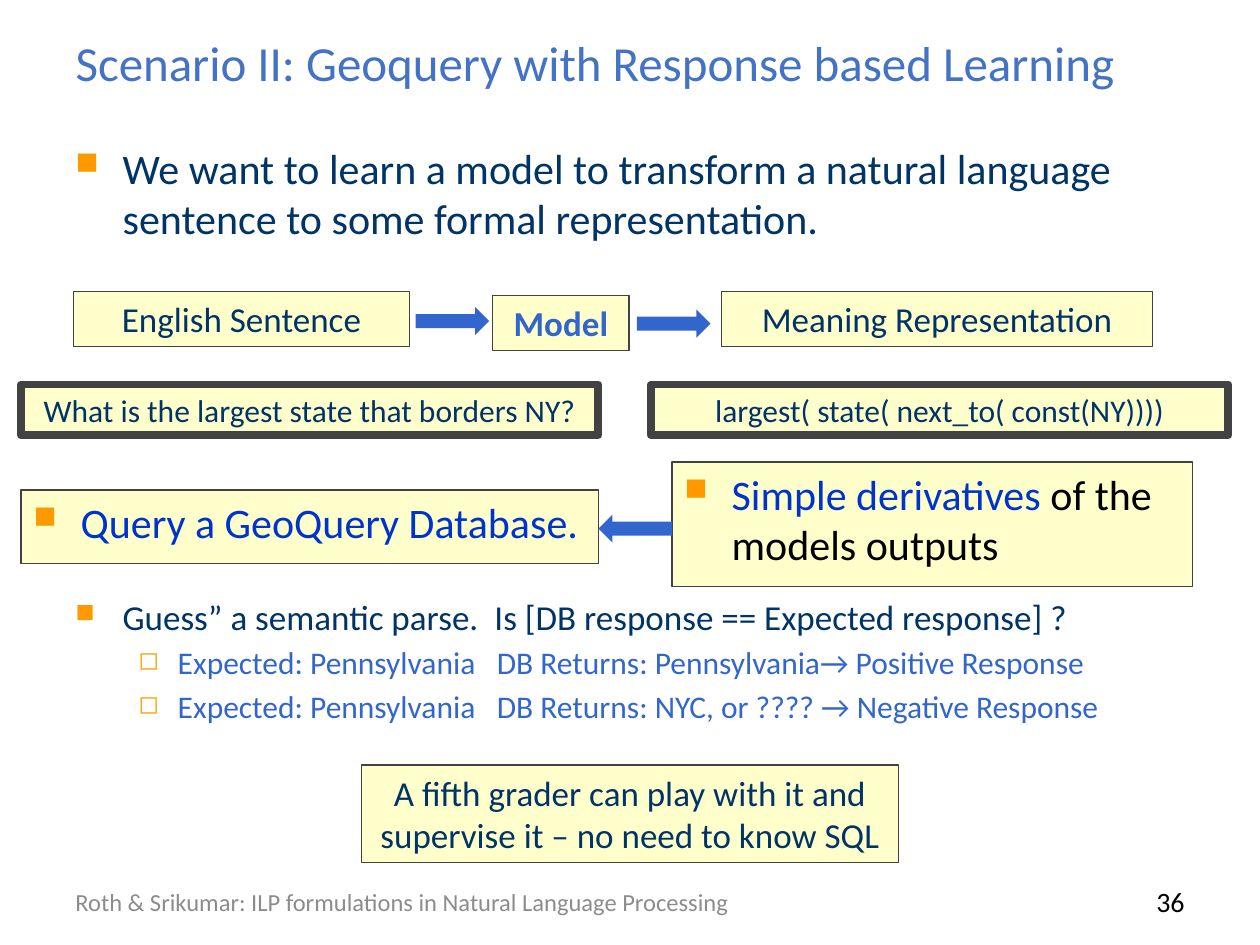
"""Build the slide on Geoquery with response based learning."""
from typing import NamedTuple, Optional

from lxml import etree
from pptx import Presentation
from pptx.dml.color import RGBColor
from pptx.enum.shapes import MSO_SHAPE
from pptx.enum.text import MSO_ANCHOR, MSO_AUTO_SIZE, PP_ALIGN
from pptx.oxml.ns import qn
from pptx.util import Pt

RECT, ARROW = MSO_SHAPE.RECTANGLE, MSO_SHAPE.RIGHT_ARROW
TOP, MIDDLE = MSO_ANCHOR.TOP, MSO_ANCHOR.MIDDLE
LEFT, CENTER, RIGHT = PP_ALIGN.LEFT, PP_ALIGN.CENTER, PP_ALIGN.RIGHT
FIXED = MSO_AUTO_SIZE.NONE
FONT = "Calibri"
HEX = {
    "title": "4472C4", "navy": "003366", "blue": "3366CC", "royal": "0033CC",
    "cream": "FFFFCC", "edge": "424242", "mark": "FF9900", "sub": "FBA313",
    "gray": "8C8C8C", "black": "000000",
}


class Run(NamedTuple):
    """Text in one style; track widens its letters, in points."""
    text: str
    size: float
    color: str = "navy"
    bold: bool = False
    track: float = 0


class Mark(NamedTuple):
    """Bullet sign with its colour, size and indents."""
    sign: str
    color: str
    scale: int
    left: float
    hang: float


class Para(NamedTuple):
    """Runs of one paragraph."""
    runs: list[Run]
    align: PP_ALIGN = LEFT
    mark: Optional[Mark] = None
    before: float = 0


class Box(NamedTuple):
    """Place of a box, its text and its edge width."""
    x: float
    y: float
    w: float
    h: float
    paras: list[Para]
    edge: float = 0.75


class Arrow(NamedTuple):
    """Place and turn of a block arrow."""
    x: float
    y: float
    turn: float = 0


MAIN = Mark("■", "mark", 75, 27, 27)
SUB = Mark("◻", "sub", 80, 58.5, 22.5)


def rgb(name: str) -> RGBColor:
    """Look up a colour."""
    return RGBColor.from_string(HEX[name])


def add_mark(para, mark: Mark) -> None:
    """Give a paragraph a bullet and a hanging indent."""
    props = para._p.get_or_add_pPr()
    props.set("marL", str(Pt(mark.left)))
    props.set("indent", str(-Pt(mark.hang)))
    tint = etree.SubElement(props, qn("a:buClr"))
    etree.SubElement(tint, qn("a:srgbClr")).set("val", HEX[mark.color])
    etree.SubElement(props, qn("a:buSzPct")).set("val", str(mark.scale * 1000))
    etree.SubElement(props, qn("a:buChar")).set("char", mark.sign)


def write(frame, paras: list[Para], anchor: MSO_ANCHOR = TOP) -> None:
    """Fill a text frame run by run."""
    frame.word_wrap = True
    frame.auto_size = FIXED
    frame.vertical_anchor = anchor
    for i, item in enumerate(paras):
        para = frame.add_paragraph() if i else frame.paragraphs[0]
        if item.mark:
            add_mark(para, item.mark)
        para.alignment = item.align
        para.space_before = Pt(item.before)
        for part in item.runs:
            run = para.add_run()
            run.text = part.text
            run.font.name = FONT
            run.font.size = Pt(part.size)
            run.font.bold = part.bold
            run.font.color.rgb = rgb(part.color)
            if part.track:
                run._r.get_or_add_rPr().set("spc", str(round(part.track * 100)))


def add_text(slide, box: Box, anchor: MSO_ANCHOR = TOP) -> None:
    """Add a plain text box."""
    shape = slide.shapes.add_textbox(Pt(box.x), Pt(box.y), Pt(box.w), Pt(box.h))
    write(shape.text_frame, box.paras, anchor)


def add_box(slide, box: Box) -> None:
    """Add a cream box with a dark edge."""
    shape = slide.shapes.add_shape(RECT, Pt(box.x), Pt(box.y), Pt(box.w), Pt(box.h))
    shape.shadow.inherit = False
    shape.fill.solid()
    shape.fill.fore_color.rgb = rgb("cream")
    shape.line.color.rgb = rgb("edge")
    shape.line.width = Pt(box.edge)
    write(shape.text_frame, box.paras)


def add_arrow(slide, arrow: Arrow) -> None:
    """Add a blue block arrow."""
    shape = slide.shapes.add_shape(ARROW, Pt(arrow.x), Pt(arrow.y), Pt(42), Pt(16))
    shape.shadow.inherit = False
    shape.fill.solid()
    shape.fill.fore_color.rgb = rgb("blue")
    shape.line.fill.background()
    shape.rotation = arrow.turn


def label(text: str, size: float, color: str = "navy", bold: bool = False) -> list[Para]:
    """Make one centred paragraph."""
    return [Para([Run(text, size, color, bold)], CENTER)]


def case(reply: str) -> Para:
    """Make one sub-item with a wide gap before the reply."""
    runs = [Run("Expected: Pennsylvania", 18, "blue"),
            Run(" ", 18, "blue", track=8), Run(reply, 18, "blue")]
    return Para(runs, mark=SUB, before=3.6)


INTRO = Box(36, 77.75, 648, 70, [Para([Run(
    "We want to learn a model to transform a natural language sentence "
    "to some formal representation.", 24)], mark=MAIN)])
GUESS = Box(36, 336.5, 648, 90, [
    Para([Run("Guess” a semantic parse.", 20), Run(" ", 20, track=4.5),
          Run("Is [DB response == Expected response] ?", 20)], mark=MAIN),
    case("DB Returns: Pennsylvania→ Positive Response"),
    case("DB Returns: NYC, or ???? → Negative Response"),
])
BOXES = [
    Box(281.5, 169, 78, 31.5, label("Model", 20, "blue", True)),
    Box(42, 166.5, 192, 31.5, label("English Sentence", 20)),
    Box(412.5, 166.5, 246, 31.5, label("Meaning Representation", 20)),
    Box(12, 219.75, 330, 29, label("What is the largest state that borders NY?", 18), 4.5),
    Box(372, 219.75, 330, 29, label("largest( state( next_to( const(NY))))", 18), 4.5),
    Box(384, 264, 297.5, 71, [Para([
        Run("Simple derivatives ", 24, "royal"),
        Run("of the models outputs", 24, "black")], mark=MAIN)]),
    Box(12, 280, 330, 42, [Para([Run("Query a GeoQuery Database.", 24, "royal")], mark=MAIN)]),
    Box(206.75, 437.25, 306.5, 55.5, label(
        "A fifth grader can play with it and supervise it – no need to know SQL", 20)),
]
ARROWS = [Arrow(237.5, 175.5), Arrow(364, 177), Arrow(342, 294, 180)]
FOOT = [
    Box(36, 500.5, 438, 29, [Para([Run(
        "Roth & Srikumar: ILP formulations in Natural Language Processing", 14, "gray")])]),
    Box(516, 500.5, 168, 29, [Para([Run("36", 16, "black")], RIGHT)]),
]


def main() -> None:
    """Draw the slide and save it."""
    deck = Presentation()
    deck.slide_width, deck.slide_height = Pt(720), Pt(540)
    slide = deck.slides.add_slide(deck.slide_layouts[5])
    title = slide.shapes.title
    title.left, title.top, title.width, title.height = Pt(36), Pt(11), Pt(648), Pt(49)
    write(title.text_frame, [Para([Run(
        "Scenario II: Geoquery with Response based Learning", 28, "title")])], MIDDLE)
    for box in (INTRO, GUESS):
        add_text(slide, box)
    for box in BOXES:
        add_box(slide, box)
    for arrow in ARROWS:
        add_arrow(slide, arrow)
    for box in FOOT:
        add_text(slide, box, MIDDLE)
    deck.save("out.pptx")


if __name__ == "__main__":
    main()
